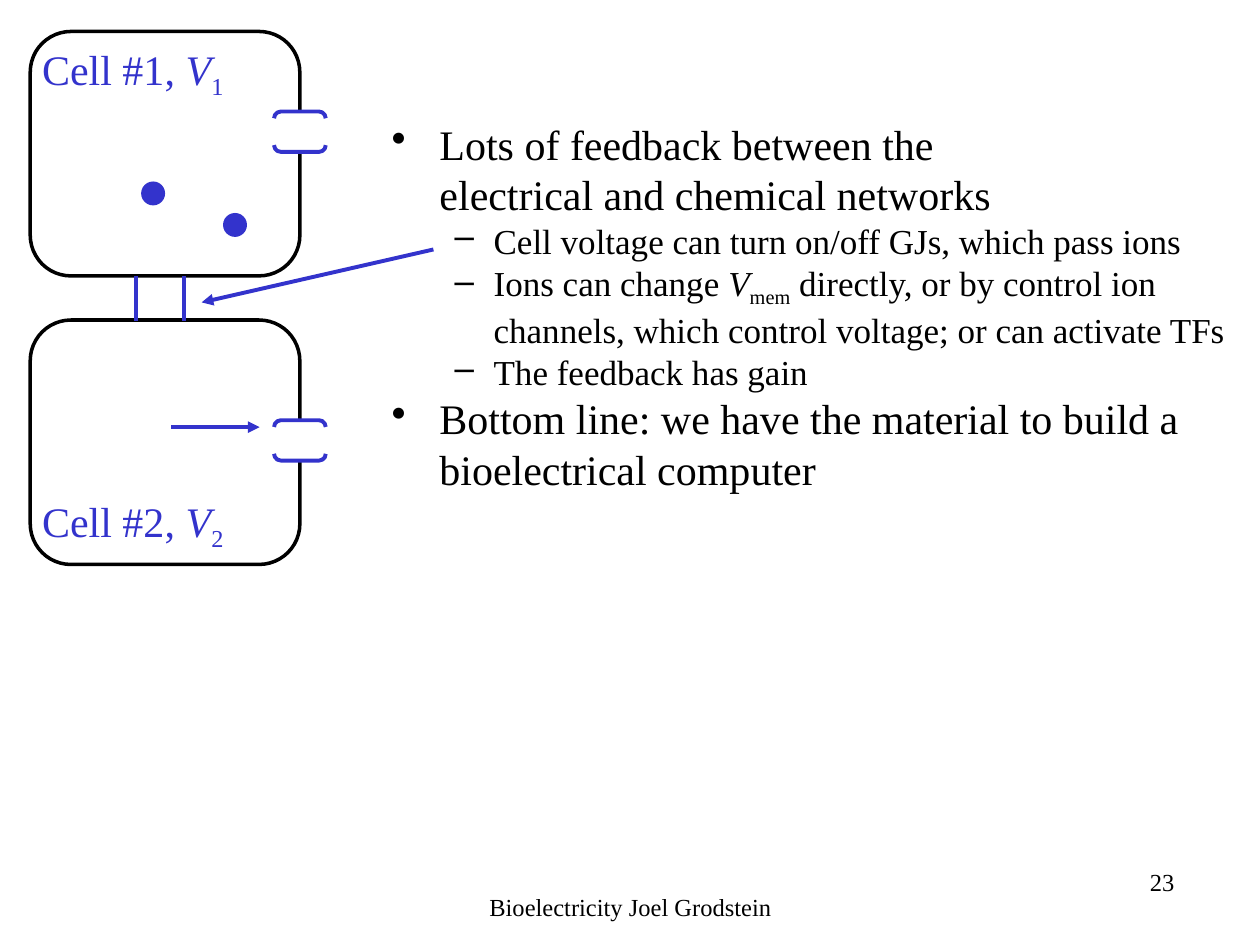
"""Build the slide on feedback between electrical and chemical cell networks."""
from dataclasses import dataclass

import lxml.etree
import pptx
import pptx.dml.color
import pptx.enum.shapes
import pptx.enum.text
import pptx.oxml
import pptx.oxml.ns
import pptx.util

COLUMNS, ROWS = 100, 75
BLACK, BLUE, WHITE = "000000", "3333CC", "FFFFFF"
FONT = "Times New Roman"
SHAPES = pptx.enum.shapes.MSO_SHAPE
ANCHOR = pptx.enum.text.MSO_ANCHOR
ALIGN = pptx.enum.text.PP_ALIGN

deck = pptx.Presentation()
deck.slide_width = pptx.util.Inches(10)
deck.slide_height = pptx.util.Inches(7.5)
page = deck.slides.add_slide(deck.slide_layouts[6])


@dataclass
class Area:
    left: float
    top: float
    width: float
    height: float


@dataclass
class Span:
    text: str
    italic: bool = False
    subscript: bool = False


@dataclass
class Bullet:
    level: int
    spans: list[Span]


@dataclass
class Cell:
    top: float
    number: str
    channel_top: float
    anchor: ANCHOR
    bottom_inset: float


@dataclass
class Stroke:
    start: tuple[float, float]
    end: tuple[float, float]
    arrow: bool = False


LEVELS = (
    {"size": 24, "mark": "•", "margin": 0.38, "hang": -0.38},
    {"size": 20, "mark": "–", "margin": 0.81, "hang": -0.31},
)

BULLETS = (
    Bullet(0, [Span("Lots of feedback between the\velectrical and chemical networks")]),
    Bullet(1, [Span("Cell voltage can turn on/off GJs, which pass ions")]),
    Bullet(1, [
        Span("Ions can change "),
        Span("V", italic=True),
        Span("mem", subscript=True),
        Span(" directly, or by control ion channels, which control voltage; or can activate TFs"),
    ]),
    Bullet(1, [Span("The feedback has gain")]),
    Bullet(0, [Span("Bottom line: we have the material to build a bioelectrical computer")]),
)

CELLS = (
    Cell(2.5, "1", 8.4, ANCHOR.TOP, 0.05),
    Cell(25.4, "2", 32.9, ANCHOR.BOTTOM, 0),
)
ION_CORNERS = ((11.2, 14.4), (17.7, 16.9))
JUNCTION = tuple(Stroke((x, 21.9), (x, 25.5)) for x in (10.8, 14.6))
ARROWS = (
    Stroke((34.4, 19.8), (16, 24), arrow=True),
    Stroke((13.6, 33.9), (20.6, 33.9), arrow=True),
)


def column(count: float) -> int:
    """Turn grid columns into a length."""
    return round(deck.slide_width * count / COLUMNS)


def row(count: float) -> int:
    """Turn grid rows into a length."""
    return round(deck.slide_height * count / ROWS)


def frame(area: Area) -> tuple[int, int, int, int]:
    """Turn a grid area into left, top, width and height."""
    return column(area.left), row(area.top), column(area.width), row(area.height)


def paint(hex_color: str) -> pptx.dml.color.RGBColor:
    """Turn a hex string into a colour."""
    return pptx.dml.color.RGBColor.from_string(hex_color)


def apply(target: object, values: dict) -> None:
    """Set each named format value on the target."""
    for name, value in values.items():
        setattr(target, name, value)


def write(para, spans: list[Span], size: float, color: str) -> None:
    """Write formatted spans, breaking lines at vertical tabs."""
    for span in spans:
        for index, part in enumerate(span.text.split("\v")):
            if index:
                para.add_line_break()
            run = para.add_run()
            run.text = part
            apply(run.font, {"name": FONT, "size": pptx.util.Pt(size), "italic": span.italic})
            run.font.color.rgb = paint(color)
            if span.subscript:
                run.font._element.set("baseline", "-25000")


def set_insets(text_frame, left: float, top: float, right: float, bottom: float) -> None:
    """Set the wrapped text margins in inches."""
    names = ("margin_left", "margin_top", "margin_right", "margin_bottom")
    lengths = map(pptx.util.Inches, (left, top, right, bottom))
    apply(text_frame, {"word_wrap": True, **dict(zip(names, lengths))})


def draw_shape(kind: SHAPES, area: Area, fill: str = "", line: str = "", weight: float = 2.25):
    """Draw a preset shape with optional fill and outline."""
    shape = page.shapes.add_shape(kind, *frame(area))
    shape.shadow.inherit = False
    if fill:
        shape.fill.solid()
        shape.fill.fore_color.rgb = paint(fill)
    else:
        shape.fill.background()
    if line:
        shape.line.color.rgb = paint(line)
        shape.line.width = pptx.util.Pt(weight)
    else:
        shape.line.fill.background()
    return shape


def draw_cell(cell: Cell) -> None:
    """Draw a labelled cell body."""
    area = Area(2.4, cell.top, 21.4, 19.4)
    shape = draw_shape(SHAPES.ROUNDED_RECTANGLE, area, line=BLACK, weight=2)
    set_insets(shape.text_frame, 0, 0, 0.1, cell.bottom_inset)
    shape.text_frame.vertical_anchor = cell.anchor
    para = shape.text_frame.paragraphs[0]
    para.alignment = ALIGN.LEFT
    label = [Span(f"Cell #{cell.number}, "), Span("V", italic=True), Span(cell.number, subscript=True)]
    write(para, label, 24, BLUE)


def draw_stroke(stroke: Stroke) -> None:
    """Draw a straight line, with an arrowhead if asked."""
    (x1, y1), (x2, y2) = stroke.start, stroke.end
    line = page.shapes.add_connector(
        pptx.enum.shapes.MSO_CONNECTOR.STRAIGHT, column(x1), row(y1), column(x2), row(y2))
    line.line.color.rgb = paint(BLUE)
    line.line.width = pptx.util.Pt(2.25)
    if stroke.arrow:
        head = lxml.etree.SubElement(line.line._get_or_add_ln(), pptx.oxml.ns.qn("a:tailEnd"))
        head.set("type", "triangle")
    lxml.etree.SubElement(line._element.spPr, pptx.oxml.ns.qn("a:effectLst"))


def draw_note(text: str, area: Area, alignment: ALIGN, insets: tuple[float, ...]) -> None:
    """Draw one line of small text."""
    box = page.shapes.add_textbox(*frame(area))
    set_insets(box.text_frame, *insets)
    para = box.text_frame.paragraphs[0]
    para.alignment = alignment
    write(para, [Span(text)], 14, BLACK)


def draw_bullets(area: Area) -> None:
    """Draw the two-level bullet list."""
    box = page.shapes.add_textbox(*frame(area))
    set_insets(box.text_frame, 0.1, 0.05, 0.1, 0.05)
    for index, bullet in enumerate(BULLETS):
        para = box.text_frame.add_paragraph() if index else box.text_frame.paragraphs[0]
        style = LEVELS[bullet.level]
        para.level = bullet.level
        props = para._p.get_or_add_pPr()
        props.set("marL", str(pptx.util.Inches(style["margin"])))
        props.set("indent", str(pptx.util.Inches(style["hang"])))
        mark = lxml.etree.SubElement(props, pptx.oxml.ns.qn("a:buChar"))
        mark.set("char", style["mark"])
        write(para, bullet.spans, style["size"], BLACK)


def main() -> None:
    """Draw the whole slide and save it."""
    draw_note("23", Area(62.5, 68.3, 31.7, 5), ALIGN.RIGHT, (0.1, 0.05, 0.1, 0.05))
    draw_bullets(Area(30.1, 8.9, 68.6, 19.4))
    draw_note("Bioelectricity Joel Grodstein", Area(34.2, 70.8, 31.7, 2.4), ALIGN.CENTER, (0, 0, 0, 0))
    for cell in CELLS:
        draw_cell(cell)
    for stroke in JUNCTION:
        draw_stroke(stroke)
    for left, top in ION_CORNERS:
        draw_shape(SHAPES.OVAL, Area(left, top, 1.9, 1.9), fill=BLUE)
    for cell in CELLS:
        area = Area(22.2, cell.channel_top, 3.2, 4.1)
        draw_shape(SHAPES.DOUBLE_BRACKET, area, fill=WHITE, line=BLUE).rotation = 270
    for stroke in ARROWS:
        draw_stroke(stroke)
    deck.save("out.pptx")


if __name__ == "__main__":
    main()
